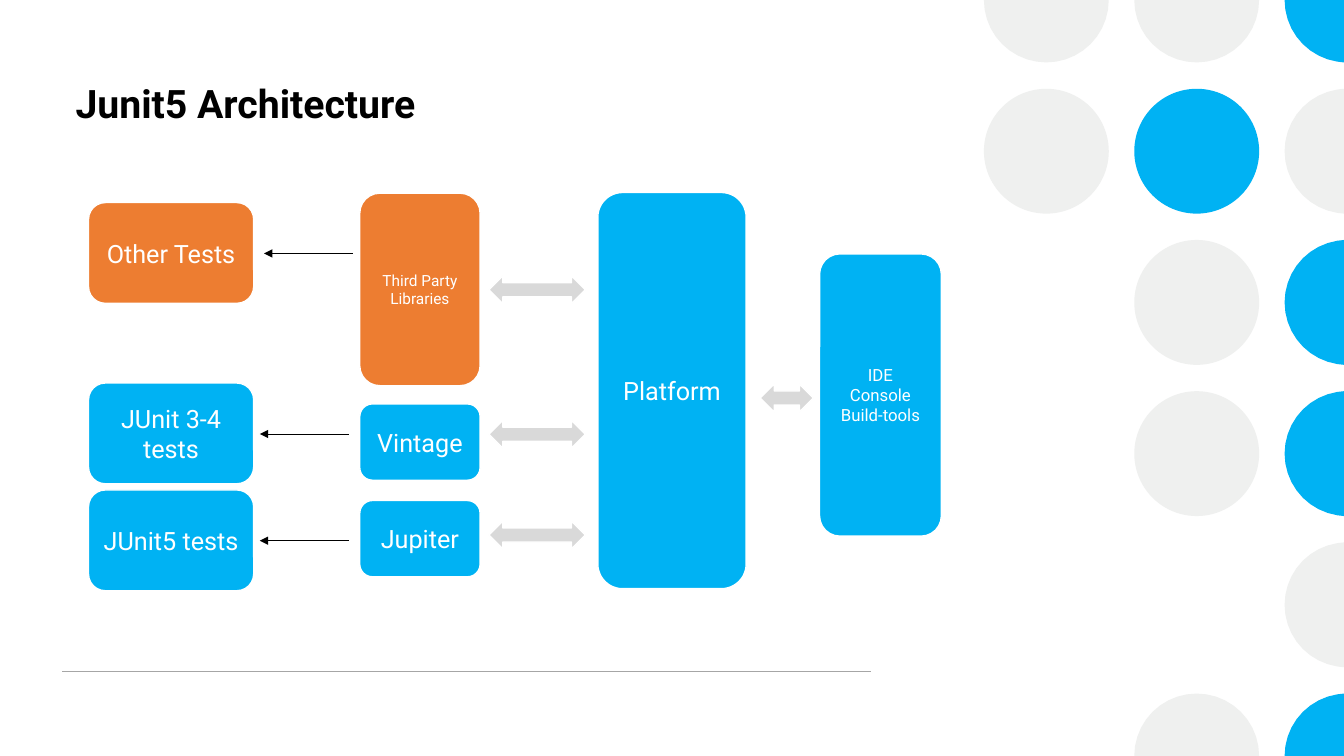
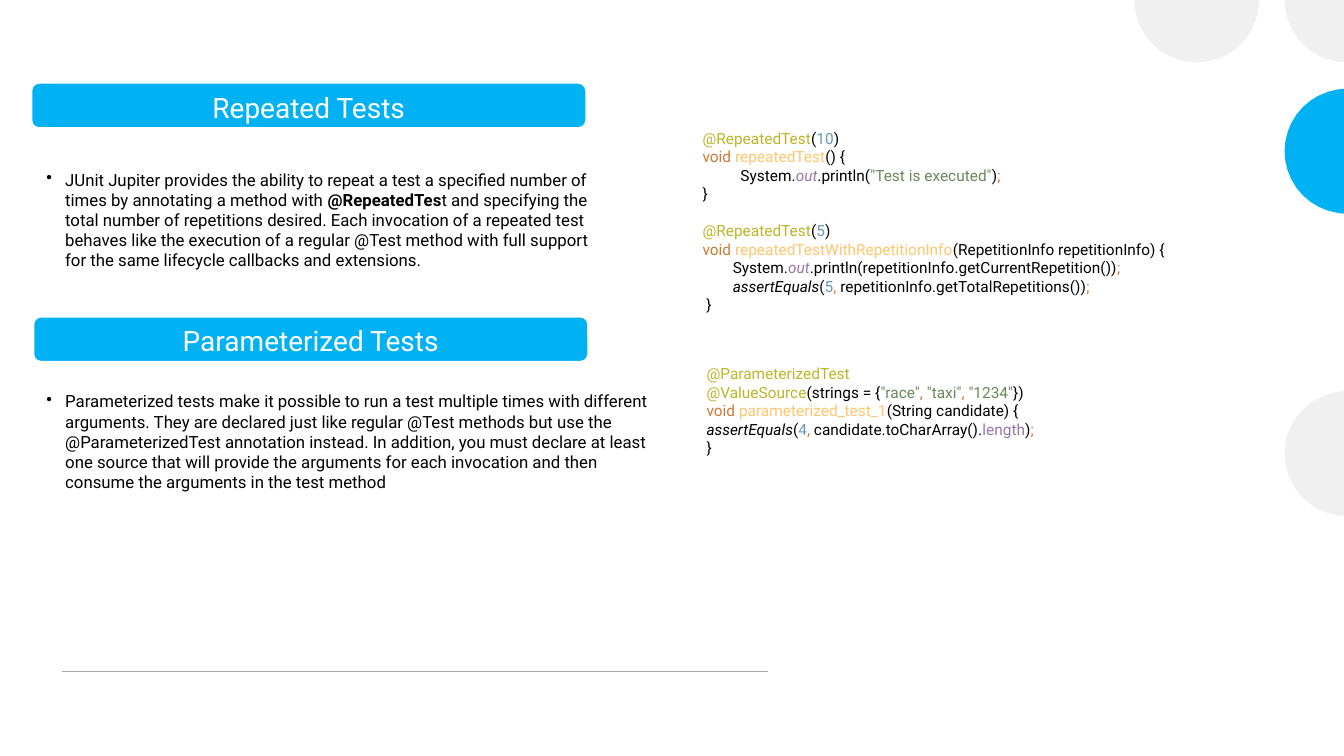
from dataclasses import dataclass
import math

import lxml.etree
import pptx
import pptx.dml.color
import pptx.enum.shapes
import pptx.enum.text
import pptx.oxml
import pptx.oxml.ns
import pptx.presentation
import pptx.shapes.autoshape
import pptx.shapes.connector
import pptx.slide
import pptx.util

Pt = pptx.util.Pt
RGB = pptx.dml.color.RGBColor
Slide = pptx.slide.Slide
Shape = pptx.shapes.autoshape.Shape
Connector = pptx.shapes.connector.Connector
Preset = pptx.enum.shapes.MSO_SHAPE
Align = pptx.enum.text.PP_ALIGN
Anchor = pptx.enum.text.MSO_ANCHOR
qn = pptx.oxml.ns.qn

FONT = "Roboto"
WIDTH, HEIGHT = 960, 540
BLACK = RGB(0x00, 0x00, 0x00)
WHITE = RGB(0xFF, 0xFF, 0xFF)
BLUE = RGB(0x00, 0xB2, 0xF3)
ORANGE = RGB(0xED, 0x7D, 0x31)
PALE = RGB(0xEF, 0xF0, 0xEF)
ARROW_GRAY = RGB(0xD9, 0xD9, 0xD9)
RULE_GRAY = RGB(0xA6, 0xA6, 0xA6)
ANNOTATION = RGB(0xBB, 0xB5, 0x29)
NUMBER = RGB(0x68, 0x97, 0xBB)
KEYWORD = RGB(0xCC, 0x78, 0x32)
METHOD = RGB(0xFF, 0xC6, 0x6D)
FIELD = RGB(0x98, 0x76, 0xAA)
STRING = RGB(0x6A, 0x87, 0x59)

DOT_RADIUS = 44.6
DOT_LEFT, DOT_PITCH_X, DOT_PITCH_Y = 747.4, 107.4, 108
DOT_COLORS = {"B": BLUE, "L": PALE}
DOT_STEPS = 40
RULE_LEFT, RULE_Y = 44.6, 479.5


@dataclass(frozen=True)
class Box:
    left: float
    top: float
    width: float
    height: float


@dataclass(frozen=True)
class Node:
    lines: tuple[str, ...]
    box: Box
    color: RGB = BLUE
    size: float = 18


@dataclass(frozen=True)
class Span:
    text: str
    color: RGB = BLACK
    italic: bool = False
    bold: bool = False


@dataclass(frozen=True)
class Line:
    spans: tuple[Span, ...]
    indent: float = 0
    space_before: float = 0


@dataclass(frozen=True)
class Topic:
    heading: str
    banner: Box
    summary: tuple[Span, ...]
    summary_box: Box
    code: tuple[Line, ...]
    code_box: Box


NODES = (
    Node(("Platform",), Box(427, 137.5, 106, 283)),
    Node(("Vintage",), Box(257, 288.5, 86, 54.5)),
    Node(("Jupiter",), Box(257, 357.5, 86, 54.5)),
    Node(("Third Party Libraries",), Box(257, 138, 86, 137.5), ORANGE, 11),
    Node(("JUnit5 tests",), Box(63.2, 350, 118, 72)),
    Node(("JUnit 3-4 tests",), Box(63.2, 273.6, 118, 72)),
    Node(("Other Tests",), Box(63.2, 144.7, 118, 72), ORANGE),
    Node(("IDE", "Console", "Build-tools"), Box(585.4, 181.4, 87, 201.6), BLUE, 12),
)
EXCHANGES = tuple(Box(349.2, top, 69, 20) for top in (197, 300.2, 372.2)) + (
    Box(543, 274.3, 38, 20),
)
TEST_ARROWS = ((252, 181), (249, 310), (249, 386.2))
TEST_ARROW_LENGTH = 63.4

TOPICS = (
    Topic(
        "Repeated Tests",
        Box(22.6, 59.3, 396, 32),
        (
            Span("JUnit Jupiter provides the ability to repeat a test a specified number "
                 "of times by annotating a method with "),
            Span("@RepeatedTes", bold=True),
            Span("t and specifying the total number of repetitions desired. Each "
                 "invocation of a repeated test behaves like the execution of a regular "
                 "@Test method with full support for the same lifecycle callbacks and "
                 "extensions."),
        ),
        Box(26, 117.4, 417.6, 83),
        (
            Line((Span("@RepeatedTest", ANNOTATION), Span("("), Span("10", NUMBER), Span(")"))),
            Line((Span("void ", KEYWORD), Span("repeatedTest", METHOD), Span("() {"))),
            Line((Span("System."), Span("out", FIELD, True), Span(".println("),
                  Span('"Test is executed"', STRING), Span(")"), Span(";", KEYWORD)), 27),
            Line((Span("}"),)),
            Line((Span("@RepeatedTest", ANNOTATION), Span("("), Span("5", NUMBER), Span(")")),
                 space_before=13.2),
            Line((Span("void ", KEYWORD), Span("repeatedTestWithRepetitionInfo", METHOD),
                  Span("(RepetitionInfo repetitionInfo) {"))),
            Line((Span("System."), Span("out", FIELD, True),
                  Span(".println(repetitionInfo.getCurrentRepetition())"),
                  Span(";", KEYWORD)), 21.6),
            Line((Span("assertEquals", italic=True), Span("("), Span("5", NUMBER),
                  Span(", ", KEYWORD), Span("repetitionInfo.getTotalRepetitions())"),
                  Span(";", KEYWORD)), 21.6),
            Line((Span("}"),), 2.7),
        ),
        Box(494.8, 88.4, 405.4, 140.4),
    ),
    Topic(
        "Parameterized Tests",
        Box(24, 226.3, 396, 32),
        (
            Span("Parameterized tests make it possible to run a test multiple times with "
                 "different arguments. They are declared just like regular @Test methods "
                 "but use the @ParameterizedTest annotation instead. In addition, you must "
                 "declare at least one source that will provide the arguments for each "
                 "invocation and then consume the arguments in the test method"),
        ),
        Box(26, 275.8, 445.7, 80),
        (
            Line((Span("@ParameterizedTest", ANNOTATION),)),
            Line((Span("@ValueSource", ANNOTATION), Span("(strings = {"),
                  Span('"race"', STRING), Span(", ", KEYWORD), Span('"taxi"', STRING),
                  Span(", ", KEYWORD), Span('"1234"', STRING), Span("})"))),
            Line((Span("void ", KEYWORD), Span("parameterized_test_1", METHOD),
                  Span("(String candidate) {"))),
            Line((Span("assertEquals", italic=True), Span("("), Span("4", NUMBER),
                  Span(", ", KEYWORD), Span("candidate.toCharArray()."),
                  Span("length", FIELD), Span(")"), Span(";", KEYWORD))),
            Line((Span("}"),)),
        ),
        Box(497.6, 256.6, 299, 74),
    ),
)


def place(box: Box) -> tuple[int, int, int, int]:
    return Pt(box.left), Pt(box.top), Pt(box.width), Pt(box.height)


def add_preset(slide: Slide, preset: Preset, box: Box, fill: RGB,
               outlined: bool = True) -> Shape:
    shape = slide.shapes.add_shape(preset, *place(box))
    paint(shape, fill, outlined)
    return shape


def paint(shape: Shape, fill: RGB, outlined: bool) -> None:
    shape.shadow.inherit = False
    shape.fill.solid()
    shape.fill.fore_color.rgb = fill
    if outlined:
        shape.line.color.rgb = WHITE
        shape.line.width = Pt(1)
    else:
        shape.line.fill.background()


def clipped_rim(x: float, y: float) -> list[tuple[int, int]]:
    angles = [2 * math.pi * step / DOT_STEPS for step in range(DOT_STEPS)]
    rim = list(dict.fromkeys(
        (Pt(min(max(x + DOT_RADIUS * math.cos(angle), 0), WIDTH)),
         Pt(min(max(y + DOT_RADIUS * math.sin(angle), 0), HEIGHT))) for angle in angles))
    neighbours = zip(rim[-1:] + rim[:-1], rim, rim[1:] + rim[:1])
    return [point for before, point, after in neighbours
            if not any(a == b == c for a, b, c in zip(before, point, after))]


def add_dot(slide: Slide, x: float, y: float, color: RGB) -> None:
    r = DOT_RADIUS
    if r <= x <= WIDTH - r and r <= y <= HEIGHT - r:
        add_preset(slide, Preset.OVAL, Box(x - r, y - r, 2 * r, 2 * r), color, False)
        return
    rim = clipped_rim(x, y)
    outline = slide.shapes.build_freeform(*rim[0])
    outline.add_line_segments(rim[1:], close=True)
    paint(outline.convert_to_shape(), color, False)


def add_line(slide: Slide, start_x: float, end_x: float, y: float,
             color: RGB, width: float) -> Connector:
    line = slide.shapes.add_connector(
        pptx.enum.shapes.MSO_CONNECTOR.STRAIGHT, Pt(start_x), Pt(y), Pt(end_x), Pt(y))
    line.line.color.rgb = color
    line.line.width = Pt(width)
    lxml.etree.SubElement(line._element.spPr, qn("a:effectLst"))
    return line


def add_decor(slide: Slide, dot_rows: tuple[str, ...], rule_right: float) -> None:
    for row, cells in enumerate(dot_rows):
        for column, cell in enumerate(cells):
            if cell in DOT_COLORS:
                add_dot(slide, DOT_LEFT + column * DOT_PITCH_X, row * DOT_PITCH_Y,
                        DOT_COLORS[cell])
    add_line(slide, RULE_LEFT, rule_right, RULE_Y, RULE_GRAY, 1)


def add_test_arrow(slide: Slide, start_x: float, y: float) -> None:
    arrow = add_line(slide, start_x, start_x - TEST_ARROW_LENGTH, y, BLACK, 0.5)
    lxml.etree.SubElement(arrow.line._get_or_add_ln(), qn("a:tailEnd"), type="triangle")


def add_label(slide: Slide, node: Node, anchor: Anchor = Anchor.MIDDLE) -> None:
    frame = add_preset(slide, Preset.ROUNDED_RECTANGLE, node.box, node.color).text_frame
    frame.vertical_anchor = anchor
    frame.text = "\n".join(node.lines)
    for paragraph in frame.paragraphs:
        paragraph.alignment = Align.CENTER
        paragraph.font.name = FONT
        paragraph.font.size = Pt(node.size)
        paragraph.font.color.rgb = WHITE


def add_lines(slide: Slide, box: Box, lines: tuple[Line, ...], size: float,
              bullet: bool = False) -> None:
    frame = slide.shapes.add_textbox(*place(box)).text_frame
    frame.word_wrap = True
    for index, line in enumerate(lines):
        paragraph = frame.add_paragraph() if index else frame.paragraphs[0]
        paragraph.font.name = FONT
        paragraph.font.size = Pt(size)
        paragraph.space_before = Pt(line.space_before)
        properties = paragraph._p.get_or_add_pPr()
        properties.set("marL", str(Pt(line.indent)))
        if bullet:
            properties.set("indent", str(-Pt(line.indent)))
            mark = pptx.oxml.parse_xml(
                f'<a:buChar {pptx.oxml.ns.nsdecls("a")} char="•"/>')
            properties.find(qn("a:defRPr")).addprevious(mark)
        for span in line.spans:
            run = paragraph.add_run()
            run.text = span.text
            run.font.color.rgb = span.color
            if span.italic:
                run.font.italic = True
            if span.bold:
                run.font.bold = True


def build_architecture(deck: pptx.presentation.Presentation) -> None:
    slide = deck.slides.add_slide(deck.slide_layouts[5])
    add_decor(slide, ("LLB", "LBL", ".LB", ".LB", "..L", ".LB"), 622)
    title = slide.shapes.title
    title.left, title.top, title.width, title.height = place(Box(46.8, 53.3, 577.4, 100))
    title.text_frame.text = "Junit5 Architecture"
    title.text_frame.vertical_anchor = Anchor.TOP
    heading = title.text_frame.paragraphs[0]
    heading.alignment = Align.LEFT
    heading.font.name = FONT
    heading.font.size = Pt(28)
    heading.font.bold = True
    heading.font.color.rgb = BLACK
    for node in NODES:
        add_label(slide, node)
    for exchange in EXCHANGES:
        add_preset(slide, Preset.LEFT_RIGHT_ARROW, exchange, ARROW_GRAY)
    for start_x, y in TEST_ARROWS:
        add_test_arrow(slide, start_x, y)


def build_test_kinds(deck: pptx.presentation.Presentation) -> None:
    slide = deck.slides.add_slide(deck.slide_layouts[6])
    add_decor(slide, (".LL", "..B", "", "..L"), 548.6)
    for topic in TOPICS:
        add_label(slide, Node((topic.heading,), topic.banner, size=20), Anchor.TOP)
        add_lines(slide, topic.summary_box, (Line(topic.summary, 13.5),), 12, bullet=True)
        add_lines(slide, topic.code_box, topic.code, 11)


def main() -> None:
    deck = pptx.Presentation()
    deck.slide_width, deck.slide_height = Pt(WIDTH), Pt(HEIGHT)
    build_architecture(deck)
    build_test_kinds(deck)
    deck.save("out.pptx")


if __name__ == "__main__":
    main()
